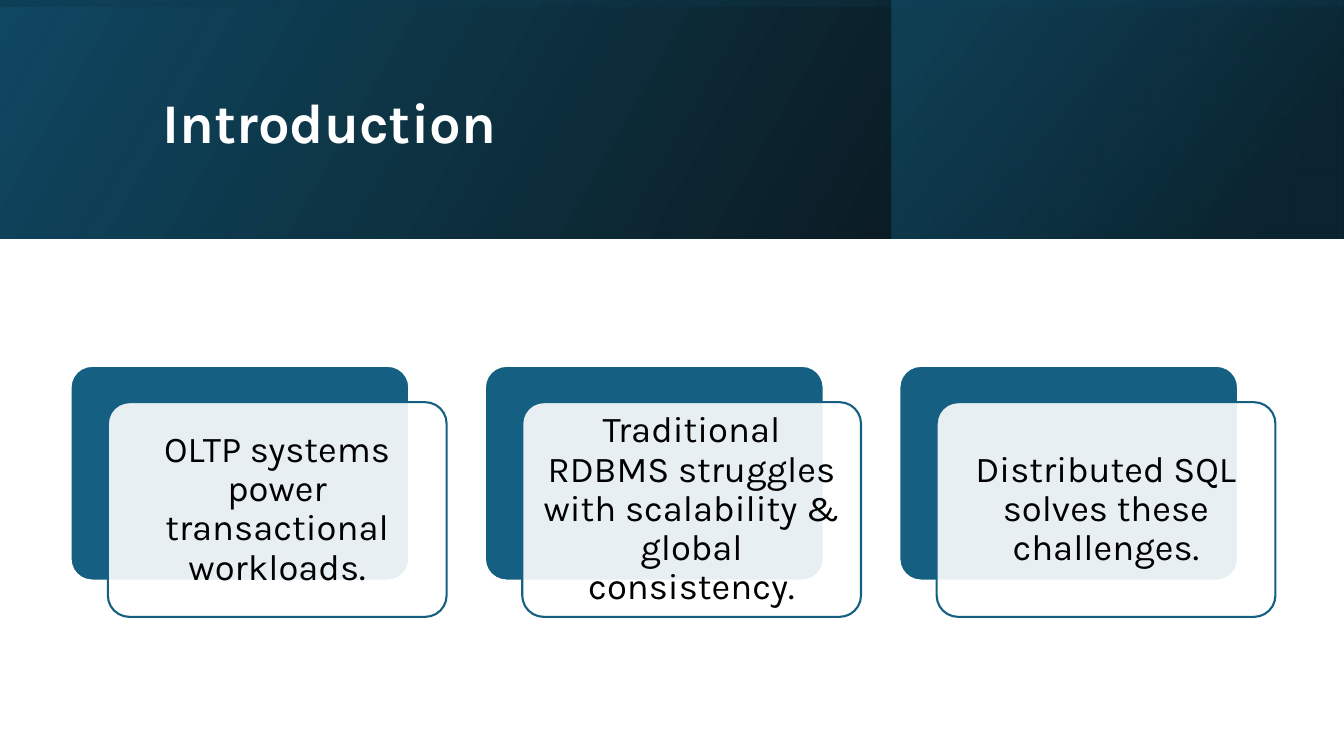
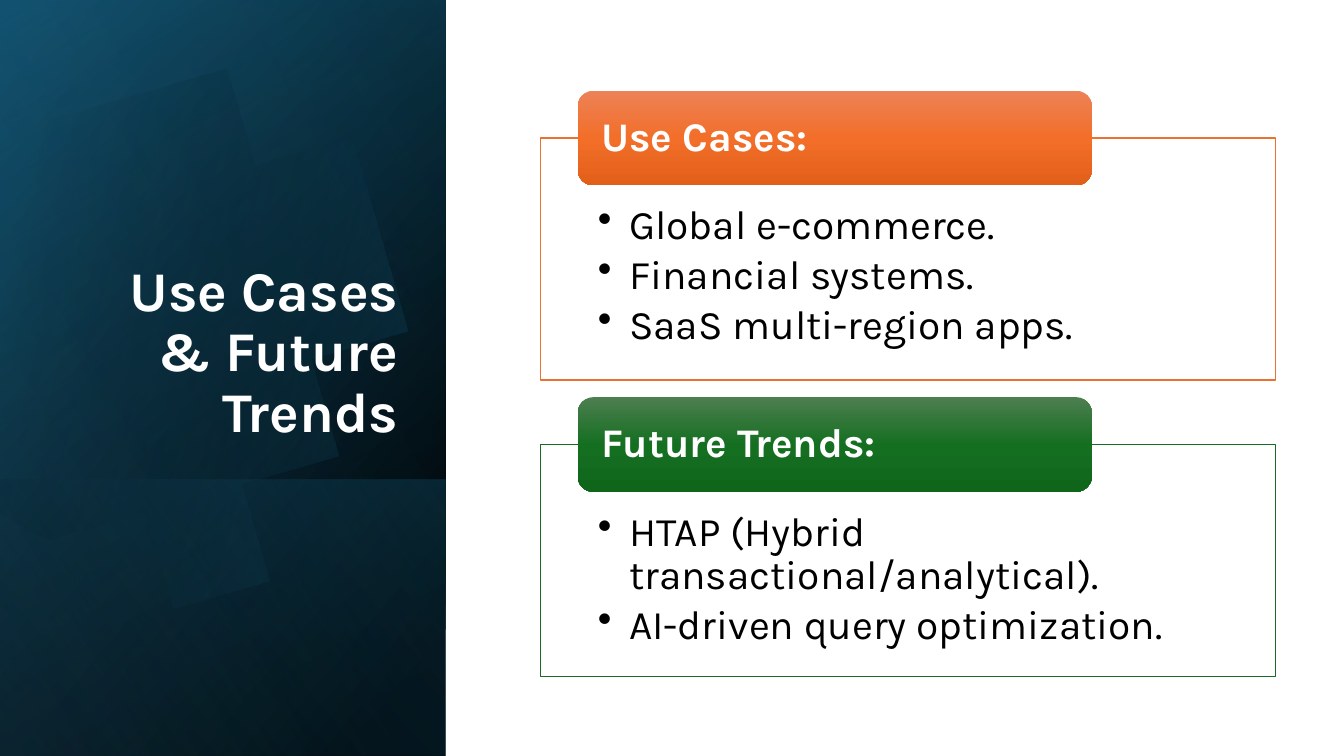
import math
from dataclasses import dataclass

from pptx import Presentation
from pptx import util as u
from pptx.dml.color import RGBColor
from pptx.enum import shapes, text
from pptx.oxml import parse_xml
from pptx.oxml.ns import nsdecls, qn

FONT = "Karla"
WHITE, BLACK = "FFFFFF", "000000"
TEAL, NAVY, SKY = "156082", "104862", "46B1E1"
ORANGE, GREEN = "E97132", "196B24"
RECT = shapes.MSO_SHAPE.RECTANGLE
ROUND = shapes.MSO_SHAPE.ROUNDED_RECTANGLE
LEFT, CENTER, RIGHT = (text.PP_ALIGN.LEFT, text.PP_ALIGN.CENTER,
                       text.PP_ALIGN.RIGHT)
TOP, MIDDLE, BOTTOM = (text.MSO_ANCHOR.TOP, text.MSO_ANCHOR.MIDDLE,
                       text.MSO_ANCHOR.BOTTOM)
TITLE_INSETS = (0.1, 0.05, 0.1, 0.05)

Box = tuple[float, float, float, float]


@dataclass(frozen=True)
class Stop:
    pos: int
    color: str
    alpha: int = 100


@dataclass(frozen=True)
class Band:
    box: Box
    angle: int
    stops: tuple[Stop, ...]
    rotation: int = 0


@dataclass(frozen=True)
class Panel:
    top: float
    height: float
    color: str
    shades: tuple[str, str, str]
    heading: str
    bullets: tuple[str, ...]


# ---- shared drawing functions ----
def rgb(color: str) -> RGBColor:
    return RGBColor.from_string(color)


def color_xml(color: str, alpha: int) -> str:
    return f'<a:srgbClr val="{color}"><a:alpha val="{alpha * 1000}"/></a:srgbClr>'


def paint(sp, stops: tuple[Stop, ...], angle: int = 0) -> None:
    """Fill with one colour, or with a gradient when there are more stops."""
    if len(stops) == 1:
        xml = (f'<a:solidFill {nsdecls("a")}>'
               f'{color_xml(stops[0].color, stops[0].alpha)}</a:solidFill>')
    else:
        marks = "".join(f'<a:gs pos="{st.pos * 1000}">{color_xml(st.color, st.alpha)}</a:gs>'
                        for st in stops)
        xml = (f'<a:gradFill {nsdecls("a")} rotWithShape="1"><a:gsLst>{marks}</a:gsLst>'
               f'<a:lin ang="{angle * 60000}" scaled="0"/></a:gradFill>')
    sp.fill.background()
    props = sp.element.spPr
    props.replace(props.find(qn("a:noFill")), parse_xml(xml))


def outline(sp, color: str | None, width: float = 1) -> None:
    sp.shadow.inherit = False
    if color is None:
        sp.line.fill.background()
    else:
        sp.line.color.rgb = rgb(color)
        sp.line.width = u.Pt(width)


def add_box(s, kind, box: Box, stops: tuple[Stop, ...], angle: int = 0,
            line: str | None = None, width: float = 1):
    sp = s.shapes.add_shape(kind, *map(u.Inches, box))
    paint(sp, stops, angle)
    outline(sp, line, width)
    return sp


def write(sp, lines: tuple[str, ...], size: float, color: str, align, anchor,
          insets: Box, bold: bool = False, bullet: bool = False) -> None:
    tf = sp.text_frame
    left, top, right, bottom = map(u.Inches, insets)
    frame = dict(word_wrap=True, auto_size=text.MSO_AUTO_SIZE.NONE,
                 vertical_anchor=anchor, margin_left=left, margin_top=top,
                 margin_right=right, margin_bottom=bottom)
    for name, value in frame.items():
        setattr(tf, name, value)
    for i, line in enumerate(lines):
        p = tf.add_paragraph() if i else tf.paragraphs[0]
        p.alignment, p.line_spacing = align, 0.9
        p.space_before = u.Pt(0)
        if bullet:
            p.space_after = u.Pt(4.35)
            ppr = p._p.get_or_add_pPr()
            indent = u.Inches(0.31)
            ppr.set("marL", str(indent))
            ppr.set("indent", str(-indent))
            ppr.append(parse_xml(f'<a:buChar {nsdecls("a")} char="•"/>'))
        r = p.add_run()
        r.text = line
        for name, value in dict(name=FONT, size=u.Pt(size), bold=bold).items():
            setattr(r.font, name, value)
        r.font.color.rgb = rgb(color)


def add_band(s, band: Band) -> None:
    sp = add_box(s, RECT, band.box, band.stops, band.angle)
    sp.rotation = band.rotation
    sp.element.spPr.get_or_add_xfrm().set("flipH", "1")


def set_title(s, title: str, box: Box, align, anchor) -> None:
    sp = s.shapes.title
    sp.left, sp.top, sp.width, sp.height = map(u.Inches, box)
    write(sp, (title,), 40, WHITE, align, anchor, TITLE_INSETS, bold=True)
    s.shapes._spTree.append(sp.element)  # bring above the bands


# ---- slide 1: three cards under a header ----
HEADER_BANDS = (
    Band((0, 0, 13.33, 2.37), 330, (Stop(0, BLACK, 96), Stop(100, NAVY))),
    Band((8.84, 0, 4.48, 2.37), 320, (Stop(19, "0B3041", 68), Stop(100, TEAL, 48))),
    Band((5.48, -5.48, 2.37, 13.33), 350,
         (Stop(23, NAVY, 16), Stop(99, BLACK, 45)), 270),
)
CARDS = (
    "OLTP systems power transactional workloads.",
    "Traditional RDBMS struggles with scalability & global consistency.",
    "Distributed SQL solves these challenges.",
)


def add_card(s, left: float, message: str) -> None:
    top, width, height = 3.63, 3.36, 2.13
    back = add_box(s, ROUND, (left, top, width, height), (Stop(0, TEAL),),
                   line=WHITE, width=1.5)
    front = add_box(s, ROUND, (left + 0.37, top + 0.36, width, height),
                    (Stop(0, WHITE, 90),), line=TEAL, width=1.5)
    for sp in (back, front):
        sp.adjustments[0] = 0.1
    write(front, (message,), 26, BLACK, CENTER, MIDDLE, (0.11,) * 4)


def introduction(s) -> None:
    for band in HEADER_BANDS:
        add_band(s, band)
    set_title(s, "Introduction", (1.51, 0.38, 10.63, 1.72), LEFT, MIDDLE)
    for i, message in enumerate(CARDS):
        add_card(s, 0.7 + i * 4.11, message)


# ---- slide 2: two panels beside a sidebar ----
SIDEBAR = (-1.54, 1.54, 7.5, 4.42)
SIDEBAR_BANDS = (
    Band(SIDEBAR, 50, (Stop(8, BLACK), Stop(100, NAVY)), 90),
    Band(SIDEBAR, 30, (Stop(0, BLACK, 0), Stop(99, TEAL, 46)), 90),
    Band((0.84, 3.92, 2.74, 4.42), 130, (Stop(2, TEAL, 29), Stop(100, BLACK, 30)), 90),
)
SIDEBAR_GLOW = Band(SIDEBAR, 120, (Stop(0, BLACK, 0), Stop(99, SKY, 11)), 90)

# Disc outline on the slide: start, then curves (6 numbers) and lines (2)
DISC_START = (1.49, 1.1)
DISC_SEGMENTS = (
    (2.46, 1.12, 3.35, 1.77, 3.63, 2.75),
    (3.98, 3.97, 3.28, 5.23, 2.07, 5.58),
    (1.31, 5.8, 0.53, 5.61, -0.03, 5.14),
    (-0.15, 5.03),
    (-0.15, 1.75),
    (0, 1.61),
    (0.23, 1.42, 0.5, 1.28, 0.8, 1.19),
    (1.03, 1.13, 1.26, 1.1, 1.49, 1.1),
)
DISC_CENTER = (1.59, 3.35)
DISC_TURN = 16.1

PANELS = (
    Panel(1.37, 2.4, ORANGE, ("ED8257", "F26E29", "E25F1A"), "Use Cases:",
          ("Global e-commerce.", "Financial systems.", "SaaS multi-region apps.")),
    Panel(4.41, 2.3, GREEN, ("4D7E50", "156F21", "0F661B"), "Future Trends:",
          ("HTAP (Hybrid transactional/analytical).", "AI-driven query optimization.")),
)


def disc_points(steps: int = 24) -> list[tuple[float, float]]:
    points = [DISC_START]
    for seg in DISC_SEGMENTS:
        if len(seg) == 2:
            points.append(seg)
            continue
        ctrl = (points[-1], seg[0:2], seg[2:4], seg[4:6])
        for k in range(1, steps + 1):
            t = k / steps
            weights = [math.comb(3, j) * t ** j * (1 - t) ** (3 - j) for j in range(4)]
            points.append(tuple(sum(w * c[axis] for w, c in zip(weights, ctrl))
                                for axis in (0, 1)))
    return points


def add_disc(s) -> None:
    # Turn the outline upright, so the gradient turns back with the shape
    cx, cy = DISC_CENTER
    cos, sin = math.cos(math.radians(DISC_TURN)), math.sin(math.radians(DISC_TURN))
    upright = [(cx + (x - cx) * cos - (y - cy) * sin,
                cy + (x - cx) * sin + (y - cy) * cos) for x, y in disc_points()]
    fb = s.shapes.build_freeform(*upright[0], scale=u.Inches(1))
    fb.add_line_segments(upright[1:], close=True)
    sp = fb.convert_to_shape()
    sp.rotation = 360 - DISC_TURN
    paint(sp, (Stop(29, BLACK, 0), Stop(100, TEAL, 43)), 30)
    outline(sp, None)


def add_panel(s, panel: Panel) -> None:
    body = add_box(s, RECT, (5.36, panel.top, 7.29, panel.height),
                   (Stop(0, WHITE, 90),), line=panel.color)
    write(body, panel.bullets, 29, BLACK, LEFT, TOP, (0.57, 0.66, 0.57, 0.23),
          bullet=True)
    stops = tuple(Stop(i * 50, shade) for i, shade in enumerate(panel.shades))
    label = add_box(s, ROUND, (5.73, panel.top - 0.47, 5.1, 0.94), stops, 90)
    write(label, (panel.heading,), 29, WHITE, LEFT, MIDDLE, (0.19, 0, 0.19, 0),
          bold=True)


def use_cases(s) -> None:
    for band in SIDEBAR_BANDS:
        add_band(s, band)
    add_disc(s)
    add_band(s, SIDEBAR_GLOW)
    set_title(s, "Use Cases & Future Trends", (0.64, 1.84, 3.41, 2.62), RIGHT, BOTTOM)
    for panel in PANELS:
        add_panel(s, panel)


def main() -> None:
    prs = Presentation()
    prs.slide_width, prs.slide_height = u.Inches(13.33), u.Inches(7.5)
    for build in (introduction, use_cases):
        build(prs.slides.add_slide(prs.slide_layouts[5]))
    prs.save("out.pptx")


if __name__ == "__main__":
    main()
